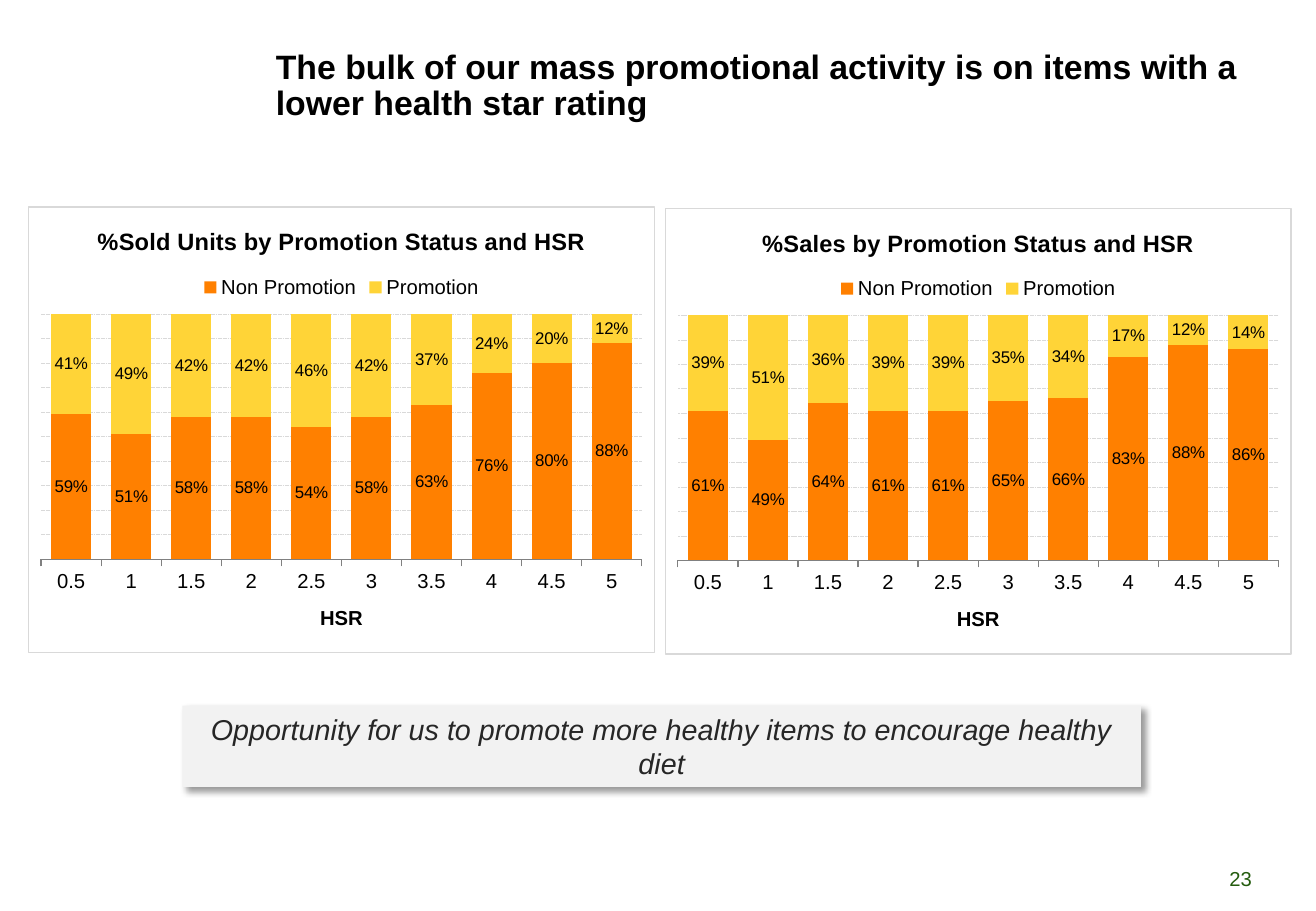
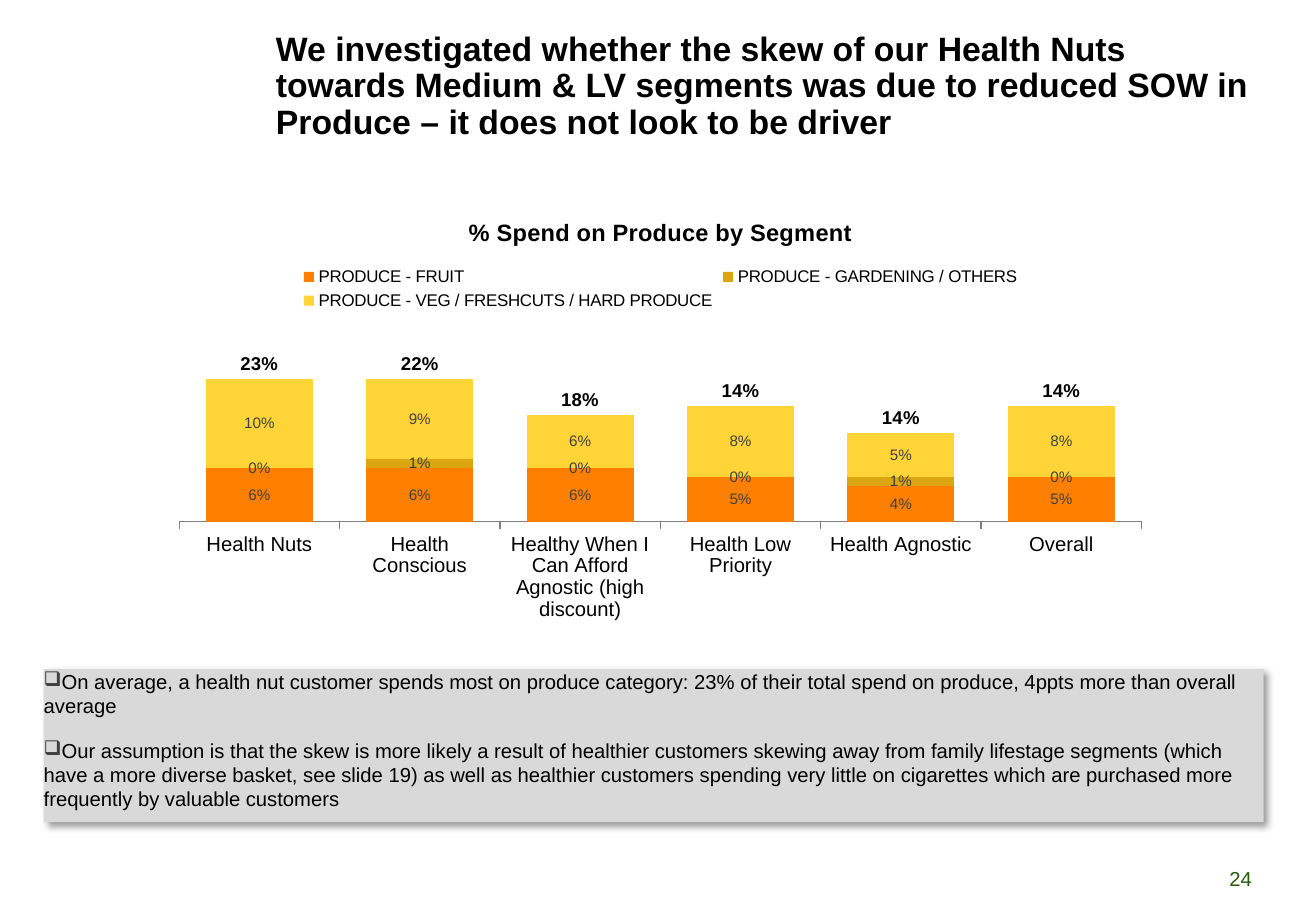
from lxml import etree
from pptx import Presentation
from pptx import util as u
from pptx.chart.data import CategoryChartData
from pptx.dml.color import RGBColor
from pptx.enum import chart as charts, dml, shapes, text
from pptx.oxml import parse_xml
from pptx.oxml.ns import nsdecls, qn

FONT = "Arial"
BLACK, GREEN, CHARCOAL, SMOKE = "000000", "245C0E", "262626", "404040"
ORANGE, YELLOW, GOLD = "FF8000", "FFD437", "DCA512"
PALE, GREY, AXIS = "F2F2F2", "D9D9D9", "808080"


def colour(target, value):
    if hasattr(target, "solid"):
        target.solid()
        target = target.fore_color
    target.rgb = RGBColor.from_string(value)


def write(frame, lines, size, ink, bold=False, italic=False, align=text.PP_ALIGN.LEFT):
    frame.word_wrap = True
    for index, line in enumerate(lines):
        para = frame.paragraphs[0] if index == 0 else frame.add_paragraph()
        para.alignment = align
        span = para.add_run()
        span.text = line
        span.font.name, span.font.size = FONT, u.Pt(size)
        span.font.bold, span.font.italic = bold, italic
        colour(span.font.color, ink)


deck = Presentation()
deck.slide_width, deck.slide_height = u.Inches(10.83), u.Inches(7.5)

titles = [
    "The bulk of our mass promotional activity is on items with a lower health star rating",
    "We investigated whether the skew of our Health Nuts towards Medium & LV segments "
    "was due to reduced SOW in Produce – it does not look to be driver",
]
pages = []
for number, title in enumerate(titles, start=23):
    page = deck.slides.add_slide(deck.slide_layouts[6])
    pages.append(page)
    for at, words, size, ink, bold, align in [
        ((2.27, 0, 8.08, 1.43), title, 20, BLACK, True, text.PP_ALIGN.LEFT),
        ((9.93, 7.13, 0.56, 0.2), str(number), 12, GREEN, False, text.PP_ALIGN.CENTER),
    ]:
        frame = page.shapes.add_textbox(*map(u.Inches, at)).text_frame
        frame.margin_left = frame.margin_right = frame.margin_top = frame.margin_bottom = 0
        frame.vertical_anchor = text.MSO_ANCHOR.MIDDLE
        write(frame, [words], size, ink, bold, align=align)
        if bold:
            frame.paragraphs[0].line_spacing = 0.9

ratings = ["0.5", "1", "1.5", "2", "2.5", "3", "3.5", "4", "4.5", "5"]
segments = ["Health Nuts", "Health Conscious",
            "Healthy When I Can Afford Agnostic (high discount)",
            "Health Low Priority", "Health Agnostic", "Overall"]
sold_units = [
    ("Non Promotion", ORANGE, [0.59, 0.51, 0.58, 0.58, 0.54, 0.58, 0.63, 0.76, 0.8, 0.88]),
    ("Promotion", YELLOW, [0.41, 0.49, 0.42, 0.42, 0.46, 0.42, 0.37, 0.24, 0.2, 0.12]),
]
sales = [
    ("Non Promotion", ORANGE, [0.61, 0.49, 0.64, 0.61, 0.61, 0.65, 0.66, 0.83, 0.88, 0.86]),
    ("Promotion", YELLOW, [0.39, 0.51, 0.36, 0.39, 0.39, 0.35, 0.34, 0.17, 0.12, 0.14]),
]
spend = [
    ("PRODUCE - FRUIT", ORANGE, [0.06, 0.06, 0.06, 0.05, 0.04, 0.05]),
    ("PRODUCE - GARDENING / OTHERS", GOLD, [0, 0.01, 0, 0, 0.01, 0]),
    ("PRODUCE - VEG / FRESHCUTS / HARD PRODUCE", YELLOW, [0.1, 0.09, 0.06, 0.08, 0.05, 0.08]),
    ("Total", None, [0.23, 0.22, 0.18, 0.14, 0.14, 0.14]),
]
share_plot = (0.02, 0.24, 0.96, 0.55)
spend_plot = (0.02, 0.3, 0.96, 0.46)

for page, at, title, categories, rows, plot_area, shares in [
    (pages[0], (0.23, 1.7, 5.16, 3.68), "%Sold Units by Promotion Status and HSR",
     ratings, sold_units, share_plot, True),
    (pages[0], (5.47, 1.71, 5.16, 3.68), "%Sales by Promotion Status and HSR",
     ratings, sales, share_plot, True),
    (pages[1], (1.31, 1.63, 8.25, 3.51), "% Spend on Produce by Segment",
     segments, spend, spend_plot, False),
]:
    data = CategoryChartData(number_format="0%")
    data.categories = categories
    for name, fill, values in rows:
        data.add_series(name, values)
    kind = charts.XL_CHART_TYPE
    chart = page.shapes.add_chart(
        kind.COLUMN_STACKED_100 if shares else kind.COLUMN_STACKED,
        *map(u.Inches, at), data).chart
    chart.font.name, chart.font.size = FONT, u.Pt(18)
    colour(chart.font.color, BLACK)
    chart.has_title = True
    write(chart.chart_title.text_frame, [title], 14, BLACK, True, align=text.PP_ALIGN.CENTER)
    chart.has_legend = True
    chart.legend.position = charts.XL_LEGEND_POSITION.TOP
    chart.legend.include_in_layout = False
    chart.legend.font.size = u.Pt(12 if shares else 10)

    value_axis, category_axis = chart.value_axis, chart.category_axis
    value_axis.visible = False
    value_axis.minimum_scale = 0
    value_axis.maximum_scale = 1 if shares else 0.22
    value_axis.has_major_gridlines = shares
    category_axis.tick_labels.font.size = u.Pt(12)
    category_axis.major_tick_mark = charts.XL_TICK_MARK.OUTSIDE
    category_axis.format.line.width = u.Pt(0.75)
    colour(category_axis.format.line.fill, AXIS)
    if shares:
        value_axis.major_unit = 0.1
        grid = value_axis.major_gridlines.format.line
        grid.width = u.Pt(0.25)
        colour(grid.fill, GREY)
        grid.dash_style = dml.MSO_LINE.SQUARE_DOT
        write(category_axis.axis_title.text_frame, ["HSR"], 12, BLACK, True,
              align=text.PP_ALIGN.CENTER)

    plot = chart.plots[0]
    plot.gap_width, plot.overlap, plot.vary_by_categories = 50, 100, False
    for series, (name, fill, values) in zip(plot.series, rows):
        series.invert_if_negative = False
        labels = series.data_labels
        labels.show_value = True
        labels.number_format, labels.number_format_is_linked = "0%", False
        if fill:
            colour(series.format.fill, fill)
            labels.font.size = u.Pt(10 if shares else 9)
            colour(labels.font.color, BLACK if shares else SMOKE)
        else:
            series.format.fill.background()
            labels.position = charts.XL_LABEL_POSITION.INSIDE_BASE
            labels.font.size, labels.font.bold = u.Pt(11), True
            colour(labels.font.color, BLACK)
            chart.element.xpath(".//c:legendPos")[0].addnext(parse_xml(
                f'<c:legendEntry {nsdecls("c")}><c:idx val="{len(rows) - 1}"/>'
                '<c:delete val="1"/></c:legendEntry>'))

    area = chart.element.xpath(".//c:plotArea")[0]
    for old in area.findall(qn("c:layout")):
        area.remove(old)
    places = "".join(f'<c:{side} val="{part}"/>' for side, part in zip("xywh", plot_area))
    area.insert(0, parse_xml(
        f'<c:layout {nsdecls("c")}><c:manualLayout><c:layoutTarget val="inner"/>'
        f'<c:xMode val="edge"/><c:yMode val="edge"/>{places}</c:manualLayout></c:layout>'))
    border = f'<a:solidFill><a:srgbClr val="{GREY}"/></a:solidFill>' if shares else "<a:noFill/>"
    chart.element.find(qn("c:chart")).addnext(parse_xml(
        f'<c:spPr {nsdecls("c", "a")}><a:noFill/><a:ln w="9525">{border}</a:ln></c:spPr>'))

callout = ["Opportunity for us to promote more healthy items to encourage healthy diet"]
findings = [
    "On average, a health nut customer spends most on produce category: 23% of their total "
    "spend on produce, 4ppts more than overall average",
    "Our assumption is that the skew is more likely a result of healthier customers skewing "
    "away from family lifestage segments (which have a more diverse basket, see slide 19) as "
    "well as healthier customers spending very little on cigarettes which are purchased more "
    "frequently by valuable customers",
]
for page, at, fill, lines, size, ink, bulleted in [
    (pages[0], (1.5, 5.81, 7.89, 0.67), PALE, callout, 17, CHARCOAL, False),
    (pages[1], (0.36, 5.51, 10.04, 1.26), GREY, findings, 12, BLACK, True),
]:
    box = page.shapes.add_shape(shapes.MSO_SHAPE.RECTANGLE, *map(u.Inches, at))
    colour(box.fill, fill)
    box.line.fill.background()
    box.shadow.inherit = False
    effects = box.element.spPr.find(qn("a:effectLst"))
    shadow = etree.SubElement(effects, qn("a:outerShdw"), blurRad=str(u.Pt(4)),
                              dist=str(u.Pt(3)), dir="2700000", algn="tl", rotWithShape="0")
    tint = etree.SubElement(shadow, qn("a:srgbClr"), val=BLACK)
    etree.SubElement(tint, qn("a:alpha"), val="40000")
    frame = box.text_frame
    frame.vertical_anchor = text.MSO_ANCHOR.TOP
    write(frame, lines, size, ink, italic=not bulleted,
          align=text.PP_ALIGN.LEFT if bulleted else text.PP_ALIGN.CENTER)
    if bulleted:
        frame.margin_left = frame.margin_right = frame.margin_top = frame.margin_bottom = 0
        for para in frame.paragraphs:
            para.space_before = u.Pt(12)
            properties = para._p.get_or_add_pPr()
            bullet_colour = etree.SubElement(properties, qn("a:buClr"))
            etree.SubElement(bullet_colour, qn("a:srgbClr"), val=SMOKE)
            etree.SubElement(properties, qn("a:buChar"), char="❑")

deck.save("out.pptx")
